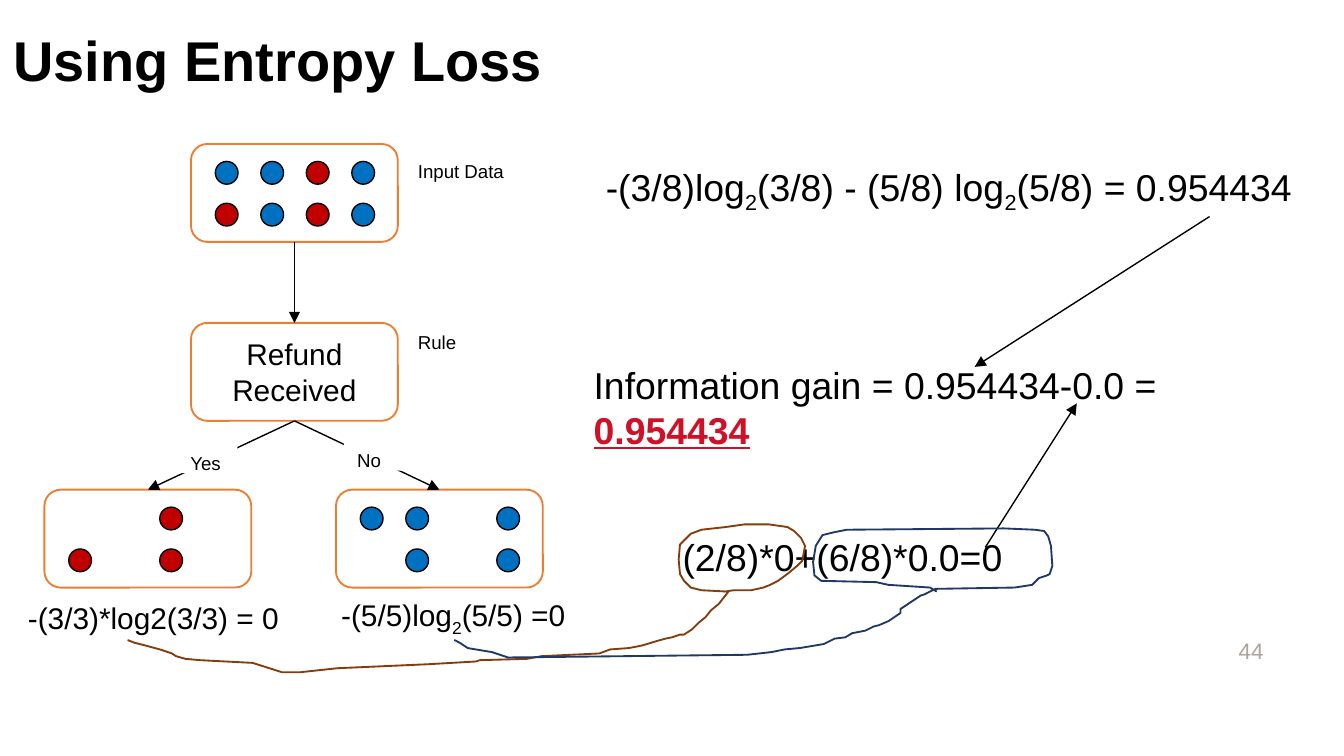
from lxml.etree import SubElement
from pptx import Presentation
from pptx.dml.color import RGBColor
from pptx.enum.shapes import MSO_CONNECTOR, MSO_SHAPE
from pptx.enum.text import MSO_ANCHOR, PP_ALIGN
from pptx.oxml.ns import qn
from pptx.util import Cm, Pt

COLORS = {
    "text": "000000", "node": "FFFFFF", "node_line": "ED7D31",
    "blue": "0070C0", "red": "C00000", "result": "CE1126",
    "number": "ACA39A", "yes_path": "843C0B", "no_path": "203864",
}
FONT = "Arial"
NODE_W, NODE_H = 3.91, 1.85
DOT = 0.43
DOT_COLORS = {"B": "blue", "R": "red"}

# Hand-drawn lines, in hundredths of an inch
STROKE_UNIT = Cm(0.0254)
YES_STROKE = [
    (95, 476), (100, 478), (108, 480), (119, 483), (122, 484), (128, 486),
    (131, 488), (138, 490), (149, 491), (188, 493), (210, 500), (223, 500),
    (251, 497), (319, 494), (354, 492), (357, 491), (392, 490), (403, 488),
    (446, 486), (454, 483), (468, 482), (478, 480), (488, 477), (495, 475),
    (500, 474), (506, 472), (509, 472), (515, 468), (520, 463), (525, 459),
    (529, 454), (535, 449), (542, 440), (522, 439), (514, 437), (509, 432),
    (506, 427), (505, 416), (506, 405), (511, 400), (514, 397), (522, 394),
    (540, 392), (554, 390), (572, 390), (586, 392), (591, 395), (596, 400),
    (599, 406), (597, 417), (593, 421), (587, 426), (579, 432), (573, 435),
    (568, 437), (559, 439), (546, 439), (539, 440),
]
NO_STROKE = [
    (338, 476), (342, 478), (348, 482), (360, 484), (366, 485), (372, 487),
    (378, 489), (556, 487), (574, 485), (584, 483), (595, 482), (613, 479),
    (621, 475), (629, 474), (634, 471), (644, 469), (650, 466), (654, 465),
    (661, 462), (670, 456), (670, 453), (679, 447), (685, 443), (688, 442),
    (696, 438), (755, 437), (768, 435), (773, 430), (779, 428), (781, 427),
    (783, 421), (782, 406), (780, 399), (777, 395), (770, 394), (747, 393),
    (630, 394), (620, 396), (612, 398), (607, 406), (605, 418), (606, 428),
    (611, 432), (652, 433), (661, 435), (692, 437), (697, 440),
]


def rgb(key):
    return RGBColor.from_string(COLORS[key])


def style_run(run, size, color="text", bold=None):
    run.font.name = FONT
    run.font.size = Pt(size)
    run.font.color.rgb = rgb(color)
    run.font.bold = bold


def add_outlined(slide, kind, x, y, w, h, fill, line, weight):
    shape = slide.shapes.add_shape(kind, Cm(x), Cm(y), Cm(w), Cm(h))
    shape.shadow.inherit = False
    shape.fill.solid()
    shape.fill.fore_color.rgb = rgb(fill)
    shape.line.color.rgb = rgb(line)
    shape.line.width = Pt(weight)
    return shape


def add_node(slide, x, y, dots=(), text=None):
    """Tree node holding either a grid of data points or a rule."""
    node = add_outlined(slide, MSO_SHAPE.ROUNDED_RECTANGLE, x, y,
                        NODE_W, NODE_H, "node", "node_line", 1)
    if text:
        node.text_frame.text = text
        node.text_frame.vertical_anchor = MSO_ANCHOR.MIDDLE
        rule = node.text_frame.paragraphs[0]
        rule.alignment = PP_ALIGN.CENTER
        style_run(rule.runs[0], 16)
    for row, line in enumerate(dots):
        for col, letter in enumerate(line):
            if letter in DOT_COLORS:
                add_outlined(slide, MSO_SHAPE.OVAL, x + 0.46 + 0.86 * col,
                             y + 0.33 + 0.79 * row, DOT, DOT,
                             DOT_COLORS[letter], "text", 0.75)
    return node


def add_arrow(slide, x1=0, y1=0, x2=0, y2=0):
    arrow = slide.shapes.add_connector(
        MSO_CONNECTOR.STRAIGHT, Cm(x1), Cm(y1), Cm(x2), Cm(y2))
    arrow.line.color.rgb = rgb("text")
    arrow.line.width = Pt(0.75)
    SubElement(arrow.line._get_or_add_ln(), qn("a:tailEnd"), type="triangle")
    SubElement(arrow._element.spPr, qn("a:effectLst"))
    return arrow


def add_branch(slide, parent, child):
    branch = add_arrow(slide)
    branch.begin_connect(parent, 2)
    branch.end_connect(child, 0)


def add_text(slide, x, y, w, h, size, *parts, color="text"):
    """Text box; parts alternate between normal text and subscripts."""
    box = slide.shapes.add_textbox(Cm(x), Cm(y), Cm(w), Cm(h))
    box.text_frame.word_wrap = True
    paragraph = box.text_frame.paragraphs[0]
    for i, part in enumerate(parts):
        run = paragraph.add_run()
        run.text = part
        style_run(run, size, color)
        if i % 2:
            run._r.get_or_add_rPr().set("baseline", "-25000")
    return box


def add_label(slide, x, y, w, text):
    label = add_text(slide, x, y, w, 0.53, 10, text)
    label.fill.solid()
    label.fill.fore_color.rgb = rgb("node")


def add_stroke(slide, points, color):
    builder = slide.shapes.build_freeform(*points[0], scale=STROKE_UNIT)
    builder.add_line_segments(points[1:], close=False)
    stroke = builder.convert_to_shape()
    stroke.shadow.inherit = False
    stroke.fill.background()
    stroke.line.color.rgb = rgb(color)
    stroke.line.width = Pt(1)


def add_title(slide, text):
    title = slide.shapes.title
    title.left, title.top = Cm(0), Cm(0)
    title.width, title.height = Cm(21.59), Cm(2.39)
    title.text_frame.text = text
    title.text_frame.vertical_anchor = MSO_ANCHOR.MIDDLE
    heading = title.text_frame.paragraphs[0]
    heading.alignment = PP_ALIGN.LEFT
    heading.line_spacing = 0.9
    style_run(heading.runs[0], 30, bold=True)


def main():
    prs = Presentation()
    prs.slide_width, prs.slide_height = Cm(25.4), Cm(14.28)
    slide = prs.slides.add_slide(prs.slide_layouts[5])
    add_title(slide, "Using Entropy Loss")

    # Slide number
    number = add_text(slide, 18.21, 11.91, 5.92, 0.76, 12, "44", color="number")
    number.text_frame.vertical_anchor = MSO_ANCHOR.MIDDLE
    number.text_frame.paragraphs[0].alignment = PP_ALIGN.RIGHT

    # Decision tree
    rule = add_node(slide, 3.61, 6.1, text="Refund Received")
    yes_leaf = add_node(slide, 0.84, 9.25, ["  R ", "R R "])
    no_leaf = add_node(slide, 6.35, 9.25, ["BB B", " B B"])
    input_data = add_node(slide, 3.61, 2.72, ["BBRB", "RBRB"])
    for parent, child in ((rule, yes_leaf), (rule, no_leaf), (input_data, rule)):
        add_branch(slide, parent, child)

    # Tree labels
    add_label(slide, 3.35, 8.41, 1.14, "Yes")
    add_label(slide, 6.5, 8.36, 1.14, "No")
    add_label(slide, 7.65, 2.9, 3.2, "Input Data")
    add_label(slide, 7.65, 6.12, 3.2, "Rule")

    # Entropy of each leaf, their weighted sum and the input entropy
    add_text(slide, 0.28, 11.2, 5.51, 0.94, 16, "-(3/3)*log2(3/3) = 0")
    add_text(slide, 6.2, 11.15, 10.34, 1.63, 16, "-(5/5)log", "2", "(5/5) =0")
    add_text(slide, 12.65, 9.96, 11, 1.12, 20, "(2/8)*0+(6/8)*0.0=0")
    add_text(slide, 11.2, 2.97, 13.94, 1.12, 20,
             "-(3/8)log", "2", "(3/8) - (5/8) log", "2", "(5/8) = 0.954434")

    # Information gain
    gain = add_text(slide, 10.97, 6.71, 13.28, 1.12, 20,
                    "Information gain = 0.954434-0.0 = ")
    result = gain.text_frame.paragraphs[0].add_run()
    result.text = "0.954434"
    style_run(result, 20, "result", bold=True)
    result.font.underline = True

    # Links from the entropies to the gain
    add_arrow(slide, 22.86, 4.09, 18.42, 6.93)
    add_arrow(slide, 18.62, 10.34, 20.35, 7.62)
    add_stroke(slide, YES_STROKE, "yes_path")
    add_stroke(slide, NO_STROKE, "no_path")

    prs.save("out.pptx")


if __name__ == "__main__":
    main()
